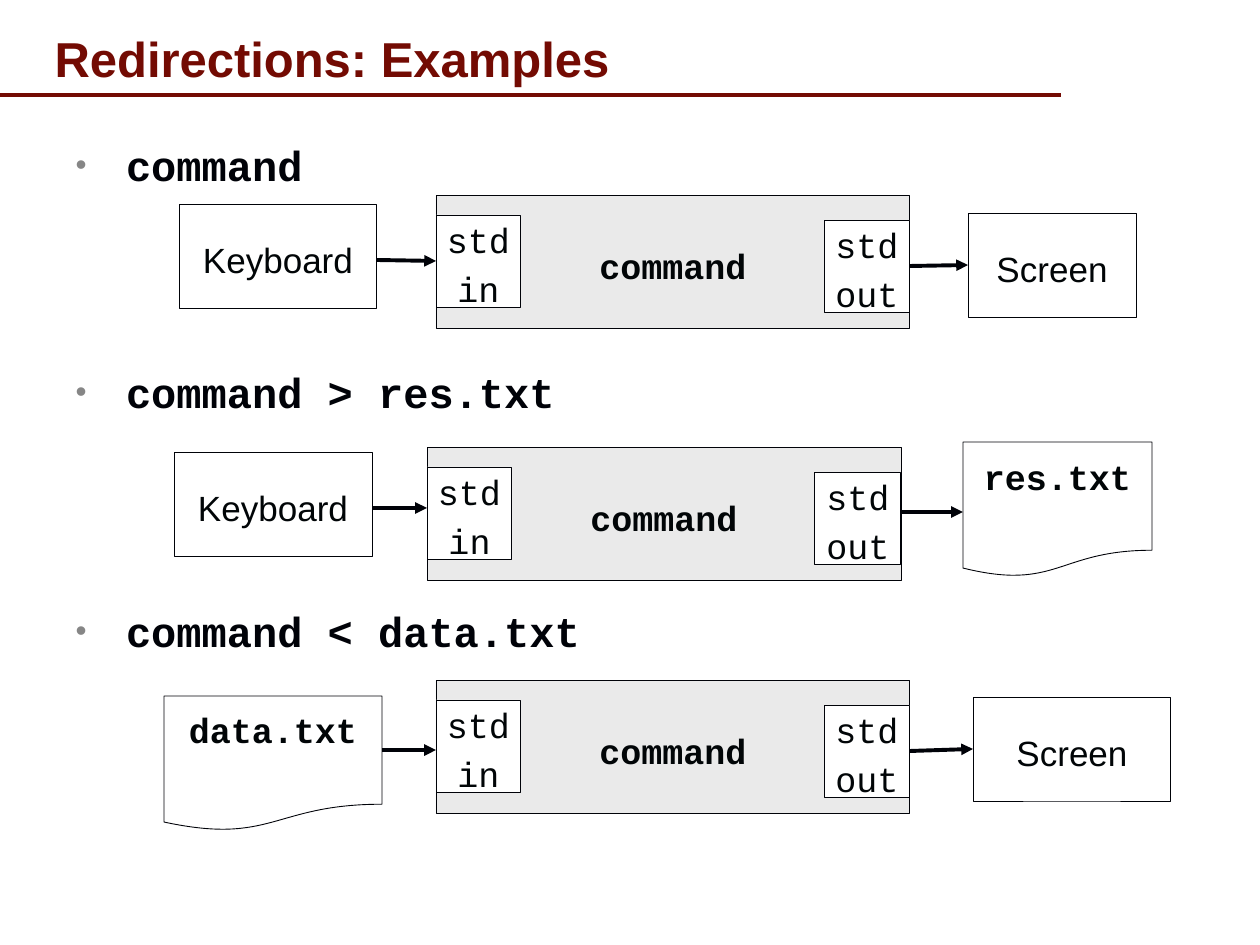
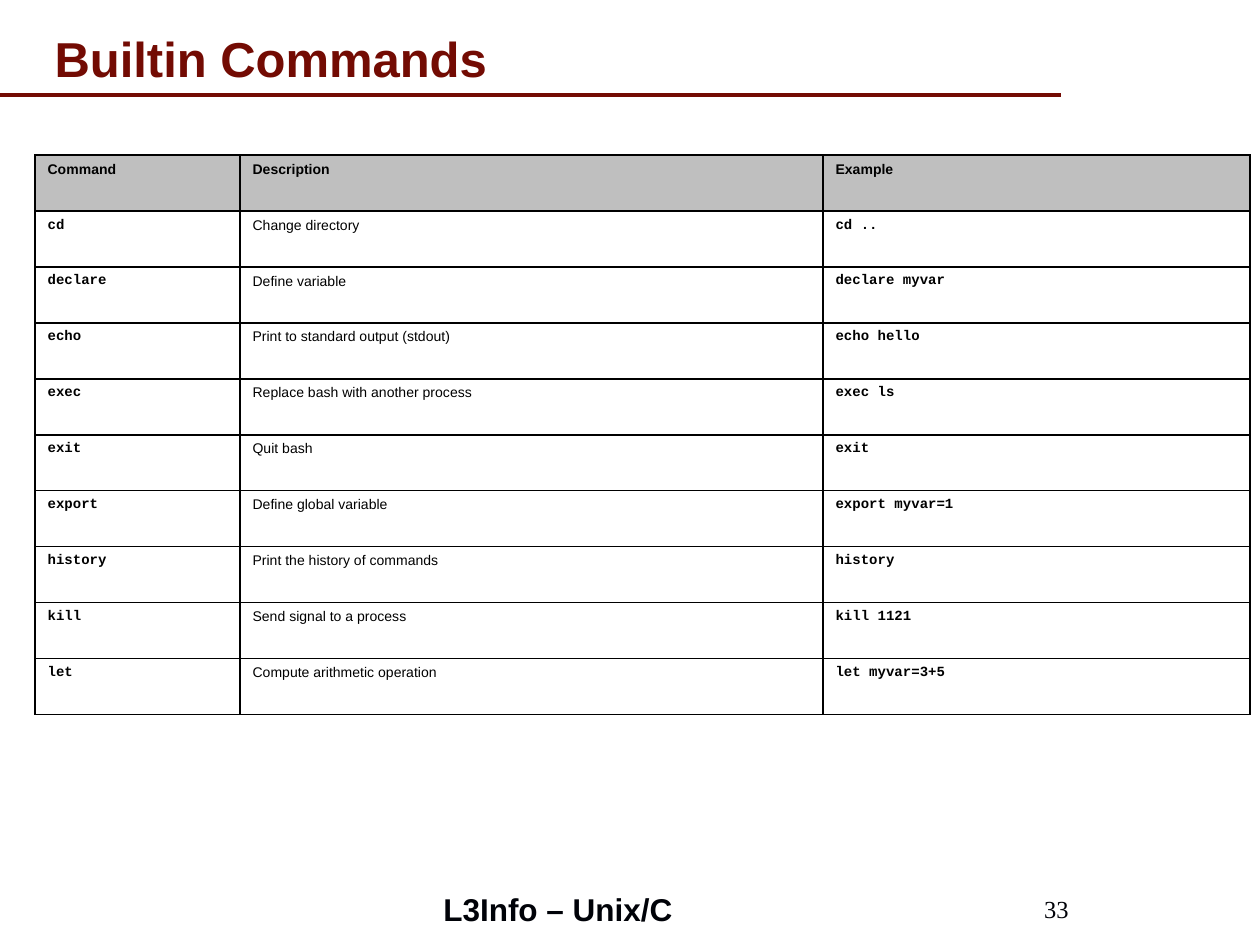
from lxml import etree
from pptx import Presentation, util as u
from pptx.dml.color import RGBColor
from pptx.enum import shapes, text
from pptx.oxml import ns

PX = u.Inches(1) / 126
COLORS = {"title": "730B03", "ink": "000208", "label": "010507", "bullet": "868686",
          "paper": "FFFFFF", "process": "EAEAEA", "header": "BFBFBF", "grid": "000000"}
SANS, MONO, SERIF = "Arial", "Courier New", "Times New Roman"
RECT, DOCUMENT = shapes.MSO_SHAPE.RECTANGLE, shapes.MSO_SHAPE.FLOWCHART_DOCUMENT
LEFT, CENTER, RIGHT = text.PP_ALIGN.LEFT, text.PP_ALIGN.CENTER, text.PP_ALIGN.RIGHT
MIDDLE, BOTTOM = text.MSO_ANCHOR.MIDDLE, text.MSO_ANCHOR.BOTTOM


def px(*lengths):
    return [u.Emu(round(length * PX)) for length in lengths]


def write(frame, words, size, face, color, bold=False, align=LEFT):
    """Fill a text frame, one paragraph per line of words, in a single style."""
    frame.text = words
    for paragraph in frame.paragraphs:
        paragraph.alignment = align
        for run in paragraph.runs:
            run.font.size, run.font.name, run.font.bold = u.Pt(size), face, bold
            run.font.color.rgb = RGBColor.from_string(COLORS[color])


prs = Presentation()
prs.slide_width, prs.slide_height = px(1260, 945)

# Title and rule shared by both slides
slides = []
for heading, layout in [("Redirections: Examples", 1), ("Builtin Commands", 5)]:
    slide = prs.slides.add_slide(prs.slide_layouts[layout])
    title = slide.shapes.title
    title.left, title.top, title.width, title.height = px(42, 21, 1071, 73)
    write(title.text_frame, heading, 28, SANS, "title", bold=True)
    title.text_frame.vertical_anchor = BOTTOM
    title.text_frame.auto_size = text.MSO_AUTO_SIZE.NONE
    rule = slide.shapes.add_connector(shapes.MSO_CONNECTOR.STRAIGHT, *px(0, 95, 1061, 95))
    rule.line.color.rgb = RGBColor.from_string(COLORS["title"])
    rule.line.width = u.Pt(2.25)
    etree.SubElement(rule._element.spPr, ns.qn("a:effectLst"))
    slides.append(slide)
redirections, builtins = slides

# Slide 1: the three command lines
examples = redirections.placeholders[1]
examples.left, examples.top, examples.width, examples.height = px(63, 133, 1190, 766)
examples.text_frame.auto_size = text.MSO_AUTO_SIZE.NONE
write(examples.text_frame, "command\ncommand > res.txt\ncommand < data.txt",
      24, MONO, "ink", bold=True)
for paragraph, gap in zip(examples.text_frame.paragraphs, [0, 101, 108]):
    paragraph.space_before = u.Pt(gap)
    properties = paragraph._p.get_or_add_pPr()
    properties.set("marL", str(u.Inches(0.4)))
    properties.set("indent", str(-u.Inches(0.4)))
    bullet_color = etree.SubElement(properties, ns.qn("a:buClr"))
    etree.SubElement(bullet_color, ns.qn("a:srgbClr"), val=COLORS["bullet"])
    etree.SubElement(properties, ns.qn("a:buSzPct"), val="75000")
    etree.SubElement(properties, ns.qn("a:buFont"), typeface=SANS)
    etree.SubElement(properties, ns.qn("a:buChar"), char="•")

# Each flow: corner of the command box, source and sink (words, outline, box),
# heights of the arrows into and out of the command
flows = [
    ((436, 195), ("Keyboard", RECT, (179, 204, 198, 104)),
     ("Screen", RECT, (968, 213, 168, 104)), 260, 265),
    ((427, 447), ("Keyboard", RECT, (174, 452, 198, 104)),
     ("res.txt", DOCUMENT, (963, 442, 189, 135)), 508, 512),
    ((436, 680), ("data.txt", DOCUMENT, (164, 696, 218, 135)),
     ("Screen", RECT, (973, 697, 198, 104)), 750, 750),
]
for (x, y), source, sink, y_in, y_out in flows:
    process = ("command", RECT, (x, y, 474, 134))
    stdin = ("std\nin", RECT, (x, y + 20, 85, 92))
    stdout = ("std\nout", RECT, (x + 388, y + 25, 86, 92))
    drawn = {}
    for part in (source, sink, process, stdin, stdout):
        words, outline, box = part
        block = redirections.shapes.add_shape(outline, *px(*box))
        block.shadow.inherit = False
        block.fill.solid()
        fill = "process" if part is process else "paper"
        block.fill.fore_color.rgb = RGBColor.from_string(COLORS[fill])
        block.line.color.rgb = RGBColor.from_string(COLORS["ink"])
        block.line.width = u.Pt(0.5)
        frame = block.text_frame
        face = SANS if words in ("Keyboard", "Screen") else MONO
        bold = outline == DOCUMENT or part is process
        write(frame, words, 20, face, "label", bold, CENTER)
        frame.word_wrap = part in (source, sink)
        frame.vertical_anchor = text.MSO_ANCHOR.TOP if outline == DOCUMENT else MIDDLE
        frame.margin_top, = px(13)
        for paragraph in frame.paragraphs[1:]:
            paragraph.space_before = u.Pt(4)
        drawn[part] = block

    for begin, end, level in [(source, stdin, y_in), (stdout, sink, y_out)]:
        begin_x, end_x = begin[2][0] + begin[2][2], end[2][0]
        arrow = redirections.shapes.add_connector(
            shapes.MSO_CONNECTOR.STRAIGHT, *px(begin_x, level, end_x, level))
        arrow.line.color.rgb = RGBColor.from_string(COLORS["ink"])
        arrow.line.width = u.Pt(2.25)
        etree.SubElement(arrow.line._get_or_add_ln(), ns.qn("a:tailEnd"), type="triangle")
        etree.SubElement(arrow._element.spPr, ns.qn("a:effectLst"))
        ends = [(begin, arrow.begin_connect, 3), (end, arrow.end_connect, 1)]
        for part, connect, site in ends:
            _, outline, (_, top, _, height) = part
            if outline == RECT and abs(top + height / 2 - level) <= 1:
                connect(drawn[part], site)

# Slide 2: table of commands
commands = [
    ("Command", "Description", "Example"),
    ("cd", "Change directory", "cd .."),
    ("declare", "Define variable", "declare myvar"),
    ("echo", "Print to standard output (stdout)", "echo hello"),
    ("exec", "Replace bash with another process", "exec ls"),
    ("exit", "Quit bash", "exit"),
    ("export", "Define global variable", "export myvar=1"),
    ("history", "Print the history of commands", "history"),
    ("kill", "Send signal to a process", "kill 1121"),
    ("let", "Compute arithmetic operation", "let myvar=3+5"),
]
grid = builtins.shapes.add_table(len(commands), 3, *px(35, 155, 1215, 560)).table
grid.first_row = grid.horz_banding = False
for column, width in zip(grid.columns, px(205, 583, 427)):
    column.width = width
for r, row in enumerate(commands):
    grid.rows[r].height, = px(56)
    for c, words in enumerate(row):
        cell = grid.cell(r, c)
        is_header, is_code = r == 0, r > 0 and c != 1
        write(cell.text_frame, words, 8, MONO if is_code else SANS, "grid",
              bold=is_header or is_code)
        cell_properties = cell._tc.get_or_add_tcPr()
        for side in ("lnL", "lnR", "lnT", "lnB"):
            border = etree.SubElement(cell_properties, ns.qn("a:" + side), w=str(u.Pt(1)))
            ink = etree.SubElement(border, ns.qn("a:solidFill"))
            etree.SubElement(ink, ns.qn("a:srgbClr"), val=COLORS["grid"])
        if is_header:
            cell.fill.solid()
            cell.fill.fore_color.rgb = RGBColor.from_string(COLORS["header"])
        else:
            cell.fill.background()

# Footer of slide 2
footers = [
    ("L3Info – Unix/C", (431, 882, 399, 53), 18, SANS, True, LEFT),
    ("33", (873, 882, 208, 53), 14, SERIF, False, RIGHT),
]
for words, box, size, face, bold, align in footers:
    frame = builtins.shapes.add_textbox(*px(*box)).text_frame
    frame.word_wrap = True
    frame.vertical_anchor = MIDDLE
    write(frame, words, size, face, "ink", bold, align)

prs.save("out.pptx")
